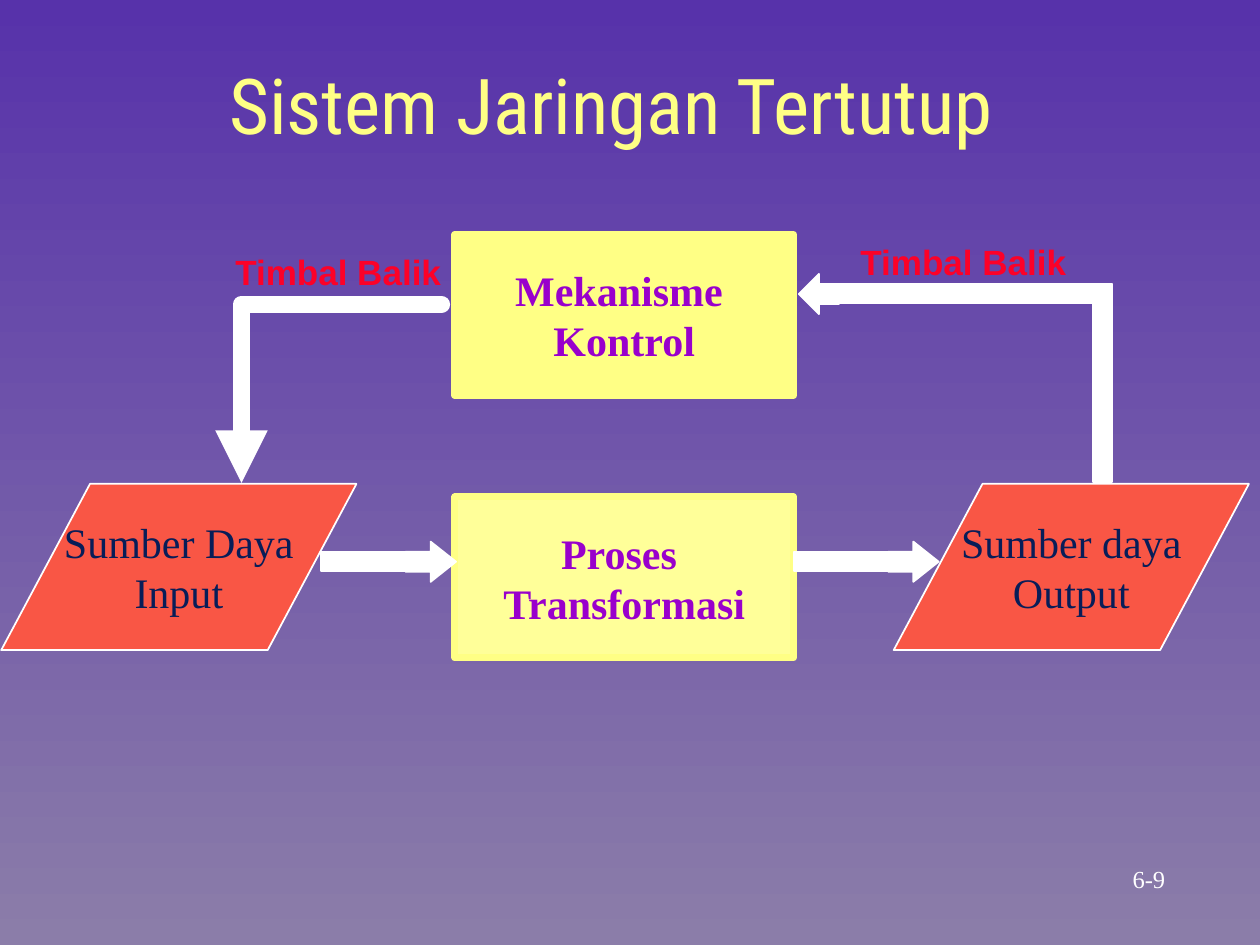
import pptx
import pptx.util
import pptx.dml.color
import pptx.enum.shapes
import pptx.enum.text
import pptx.oxml.ns
import lxml.etree

Pt = pptx.util.Pt
SHAPE = pptx.enum.shapes.MSO_SHAPE
ALIGN = pptx.enum.text.PP_ALIGN
ANCHOR = pptx.enum.text.MSO_ANCHOR
COLORS = {
    "top": "5732AA", "bottom": "8B7DA9", "white": "FFFFFF",
    "yellow": "FFFF85", "pale": "FFFF99", "purple": "9900CC",
    "coral": "F95645", "navy": "081D58", "red": "FC0128",
}


class FlowSlide:
    """Style and drawing methods for a flow diagram on one slide."""

    serif = "Times New Roman"

    def __init__(self, deck):
        self.slide = deck.slides.add_slide(deck.slide_layouts[6])

    def color(self, name):
        return pptx.dml.color.RGBColor.from_string(COLORS[name])

    def background(self, *names):
        fill = self.slide.background.fill
        fill.gradient()
        fill.gradient_angle = 270
        for stop, name in zip(fill.gradient_stops, names):
            stop.color.rgb = self.color(name)

    def set_text(self, shape, text, size, font, color, bold=False, align=ALIGN.CENTER, anchor=ANCHOR.MIDDLE):
        frame = shape.text_frame
        frame.text = text
        frame.word_wrap = False
        frame.vertical_anchor = anchor
        for paragraph in frame.paragraphs:
            paragraph.alignment = align
            for run in paragraph.runs:
                run.font.size = Pt(size)
                run.font.name = font
                run.font.bold = bold
                run.font.color.rgb = self.color(color)

    def block(self, kind, left, top, width, height, fill="white", line="white", weight=1, adjust=()):
        shape = self.slide.shapes.add_shape(kind, Pt(left), Pt(top), Pt(width), Pt(height))
        shape.shadow.inherit = False
        shape.fill.solid()
        shape.fill.fore_color.rgb = self.color(fill)
        shape.line.color.rgb = self.color(line)
        shape.line.width = Pt(weight)
        for index, value in enumerate(adjust):
            shape.adjustments[index] = value
        return shape

    def step(self, text, top, fill):
        box = self.block(SHAPE.RECTANGLE, 260, top, 193.5, 92, fill, "yellow", 4)
        self.set_text(box, text, 24, self.serif, "purple", True)

    def resource(self, text, left):
        box = self.block(SHAPE.PARALLELOGRAM, left, 276.5, 203, 95, "coral", adjust=[0.534])
        self.set_text(box, text, 24, self.serif, "navy")

    def label(self, text, left, top, width, height, size, font, color, **style):
        box = self.slide.shapes.add_textbox(Pt(left), Pt(top), Pt(width), Pt(height))
        self.set_text(box, text, size, font, color, **style)
        box.text_frame.auto_size = pptx.enum.text.MSO_AUTO_SIZE.SHAPE_TO_FIT_TEXT

    def elbow_arrow(self, start, *points):
        builder = self.slide.shapes.build_freeform(Pt(start[0]), Pt(start[1]))
        builder.add_line_segments([(Pt(x), Pt(y)) for x, y in points], close=False)
        arrow = builder.convert_to_shape()
        arrow.shadow.inherit = False
        arrow.fill.background()
        arrow.line.color.rgb = self.color("white")
        arrow.line.width = Pt(10)
        line = arrow.element.spPr.find(pptx.oxml.ns.qn("a:ln"))
        line.set("cap", "rnd")
        for tag, attributes in (("round", {}), ("tailEnd", {"type": "triangle"})):
            lxml.etree.SubElement(line, pptx.oxml.ns.qn("a:" + tag), attributes)


def main():
    deck = pptx.Presentation()
    deck.slide_width, deck.slide_height = Pt(720), Pt(540)
    flow = FlowSlide(deck)
    flow.background("top", "bottom")

    flow.step("Proses \nTransformasi", 284, "pale")
    flow.step("Mekanisme \nKontrol", 134, "yellow")

    flow.block(SHAPE.LEFT_ARROW, 456.5, 156.5, 23, 23, adjust=[0.5, 0.5])
    flow.block(SHAPE.RECTANGLE, 474.5, 162.5, 161, 10.5)
    flow.block(SHAPE.RECTANGLE, 624.5, 162.5, 11, 113)

    flow.resource("Sumber Daya\nInput", 0.7)
    flow.resource("Sumber daya\nOutput", 510.7)

    for head_left, bar_left in ((507.6, 453.8), (231.8, 183.5)):
        flow.block(SHAPE.RIGHT_ARROW, head_left, 309.5, 28.8, 23, adjust=[0.5, 0.63])
        flow.block(SHAPE.RECTANGLE, bar_left, 315.5, 64.8, 10.8)

    flow.label("Sistem Jaringan Tertutup", 124, 29.5, 529, 60, 44, "Roboto Condensed", "yellow",
               align=ALIGN.LEFT, anchor=ANCHOR.TOP)
    for left, top in ((127.4, 139.7), (484.6, 133.9)):
        flow.label("Timbal Balik", left, top, 132.5, 31, 20, "Arial", "red",
                   bold=True, align=ALIGN.LEFT, anchor=ANCHOR.TOP)
    flow.elbow_arrow((252.2, 174), (138, 174), (138, 276))
    flow.label("6-9", 614, 489.6, 85, 24.5, 14, flow.serif, "white")
    deck.save("out.pptx")


if __name__ == "__main__":
    main()
